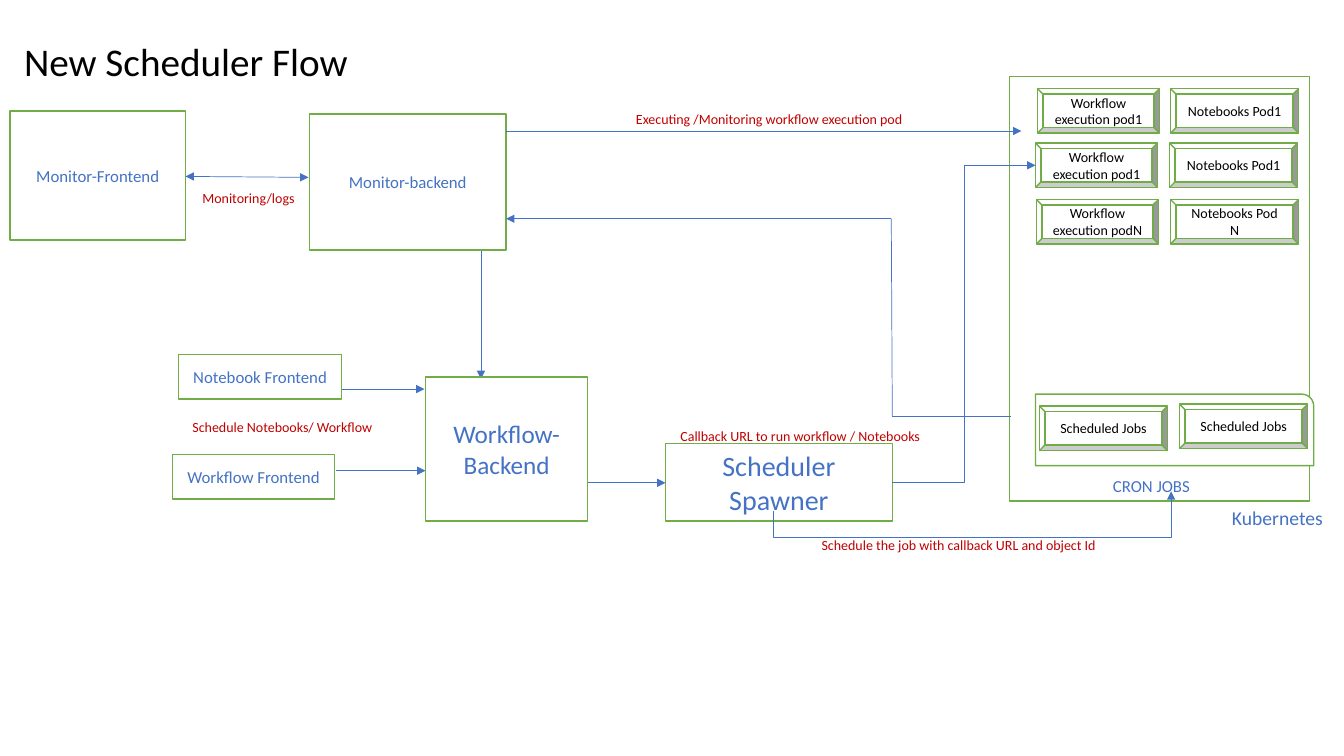
from dataclasses import dataclass

from lxml import etree
from pptx import Presentation
from pptx.dml.color import RGBColor
from pptx.enum import shapes, text
from pptx.oxml import ns
from pptx.util import Inches, Pt


@dataclass(frozen=True)
class Theme:
    font: str = "Calibri"
    blue: str = "4472C4"
    green: str = "70AD47"
    red: str = "C00000"
    black: str = "000000"
    white: str = "FFFFFF"
    title: int = 28
    spawner: int = 20
    backend: int = 18
    cluster: int = 14
    body: int = 12
    small: int = 10
    outline: float = 1
    flow: float = 0.5


theme = Theme()
KIND = shapes.MSO_SHAPE
LINK = shapes.MSO_CONNECTOR

deck = Presentation()
deck.slide_width, deck.slide_height = Inches(13.33), Inches(7.5)
slide = deck.slides.add_slide(deck.slide_layouts[6])


def write(kind, place, words="", size=theme.body, color=theme.blue, wrap=True):
    """Add a green outlined shape, or a bare label when kind is None."""
    place = [Inches(v) for v in place]
    if kind is None:
        item = slide.shapes.add_textbox(*place)
        item.text_frame.auto_size = text.MSO_AUTO_SIZE.SHAPE_TO_FIT_TEXT
    else:
        item = slide.shapes.add_shape(kind, *place)
        item.shadow.inherit = False
        item.fill.solid()
        item.fill.fore_color.rgb = RGBColor.from_string(theme.white)
        item.line.color.rgb = RGBColor.from_string(theme.green)
        item.line.width = Pt(theme.outline)
        item.text_frame.vertical_anchor = text.MSO_ANCHOR.MIDDLE
    item.text_frame.word_wrap = wrap
    if words:
        paragraph = item.text_frame.paragraphs[0]
        paragraph.alignment = text.PP_ALIGN.CENTER if kind else text.PP_ALIGN.LEFT
        run = paragraph.add_run()
        run.text = words
        run.font.name, run.font.size = theme.font, Pt(size)
        run.font.color.rgb = RGBColor.from_string(color)


def connect(start, end, ends=("tailEnd",), kind=LINK.STRAIGHT):
    """Add a blue flow line with arrowheads at the named ends."""
    flow = slide.shapes.add_connector(kind, *[Inches(v) for v in (*start, *end)])
    flow.line.color.rgb = RGBColor.from_string(theme.blue)
    flow.line.width = Pt(theme.flow)
    for name in ends:
        etree.SubElement(flow.line._get_or_add_ln(), ns.qn(f"a:{name}"), type="triangle")
    etree.SubElement(flow._element.spPr, ns.qn("a:effectLst"))
    return flow


# Title
write(None, (0.14, 0.32, 3.45, 0.57), "New Scheduler Flow", theme.title, theme.black, False)

# The arrow into the workflow backend ends behind its box
connect((4.77, 2.48), (4.77, 3.76))

# Red captions beside the flows
for place, caption, wrap in (
    ((6.65, 4.19, 2.61, 0.27), "Callback URL to run workflow / Notebooks", False),
    ((1.81, 4.1, 2.12, 0.44), "Schedule Notebooks/ Workflow", True),
    ((1.91, 1.83, 1.37, 0.27), "Monitoring/logs", True),
    ((6.21, 1.05, 2.9, 0.27), "Executing /Monitoring workflow execution pod", False),
    ((8.05, 5.27, 2.95, 0.27), "Schedule the job with callback URL and object Id", False),
):
    write(None, place, caption, theme.small, theme.red, wrap)

# Services
for place, service, size in (
    ((3.07, 1.13, 1.95, 1.35), "Monitor-backend", theme.body),
    ((0.1, 1.1, 1.74, 1.28), "Monitor-Frontend", theme.body),
    ((1.77, 3.52, 1.62, 0.44), "Notebook Frontend", theme.body),
    ((1.71, 4.51, 1.61, 0.44), "Workflow Frontend", theme.body),
    ((6.6, 4.4, 2.25, 0.77), "Scheduler Spawner", theme.spawner),
    ((4.22, 3.74, 1.61, 1.43), "Workflow-Backend", theme.backend),
):
    write(KIND.RECTANGLE, place, service, size)

# Kubernetes cluster with its cron job area
write(KIND.RECTANGLE, (10.01, 0.76, 2.98, 4.21))
write(None, (12.12, 4.97, 1.25, 0.34), "Kubernetes", theme.cluster)
write(KIND.ROUND_1_RECTANGLE, (10.27, 3.91, 2.76, 0.71))
write(None, (10.94, 4.67, 1.46, 0.3), "CRON JOBS")

# Pods and scheduled jobs
for left, top, width, pod in (
    (10.29, 0.88, 1.21, "Workflow execution pod1"),
    (11.61, 0.88, 1.27, "Notebooks Pod1"),
    (10.27, 1.42, 1.21, "Workflow execution pod1"),
    (11.6, 1.42, 1.27, "Notebooks Pod1"),
    (10.28, 1.98, 1.21, "Workflow execution podN"),
    (11.61, 1.98, 1.27, "Notebooks Pod N"),
    (10.31, 4.03, 1.27, "Scheduled Jobs"),
    (11.7, 4.01, 1.27, "Scheduled Jobs"),
):
    write(KIND.BEVEL, (left, top, width, 0.44), pod, theme.small, theme.black)

# Straight flows
for start, end in (
    ((3.39, 3.86), (4.21, 3.86)),
    ((3.33, 4.67), (4.22, 4.67)),
    ((5.83, 4.79), (6.6, 4.79)),
    ((5.02, 1.3), (10.13, 1.3)),
    ((8.84, 2.17), (5.02, 2.17)),
):
    connect(start, end)
connect((1.84, 1.75), (3.06, 1.76), ("headEnd", "tailEnd"))
connect((8.85, 4.13), (10.03, 4.13), ())
connect((8.85, 4.13), (8.84, 2.17), ())

# Spawner to execution pod
connect((8.85, 4.79), (10.27, 1.64), kind=LINK.ELBOW)

# Spawner to cron jobs: a quarter-turned elbow that dips below both ends
schedule = connect((9.74, 6.95), (9.54, 3), kind=LINK.ELBOW)
schedule._element.spPr.find(ns.qn("a:xfrm")).set("rot", str(90 * 60000))
dip = schedule._element.spPr.find(ns.qn("a:prstGeom")).find(ns.qn("a:avLst"))
etree.SubElement(dip, ns.qn("a:gd"), name="adj1", fmla="val -127700")

deck.save("out.pptx")
